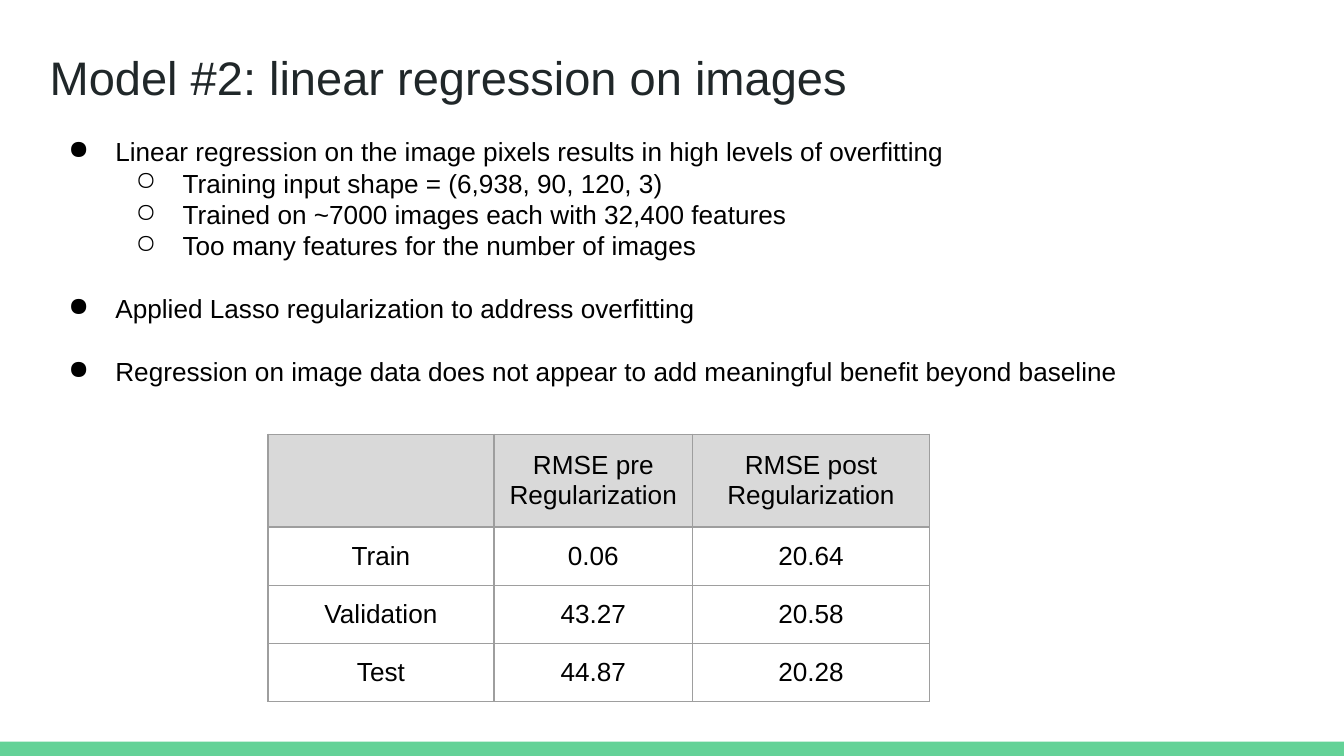
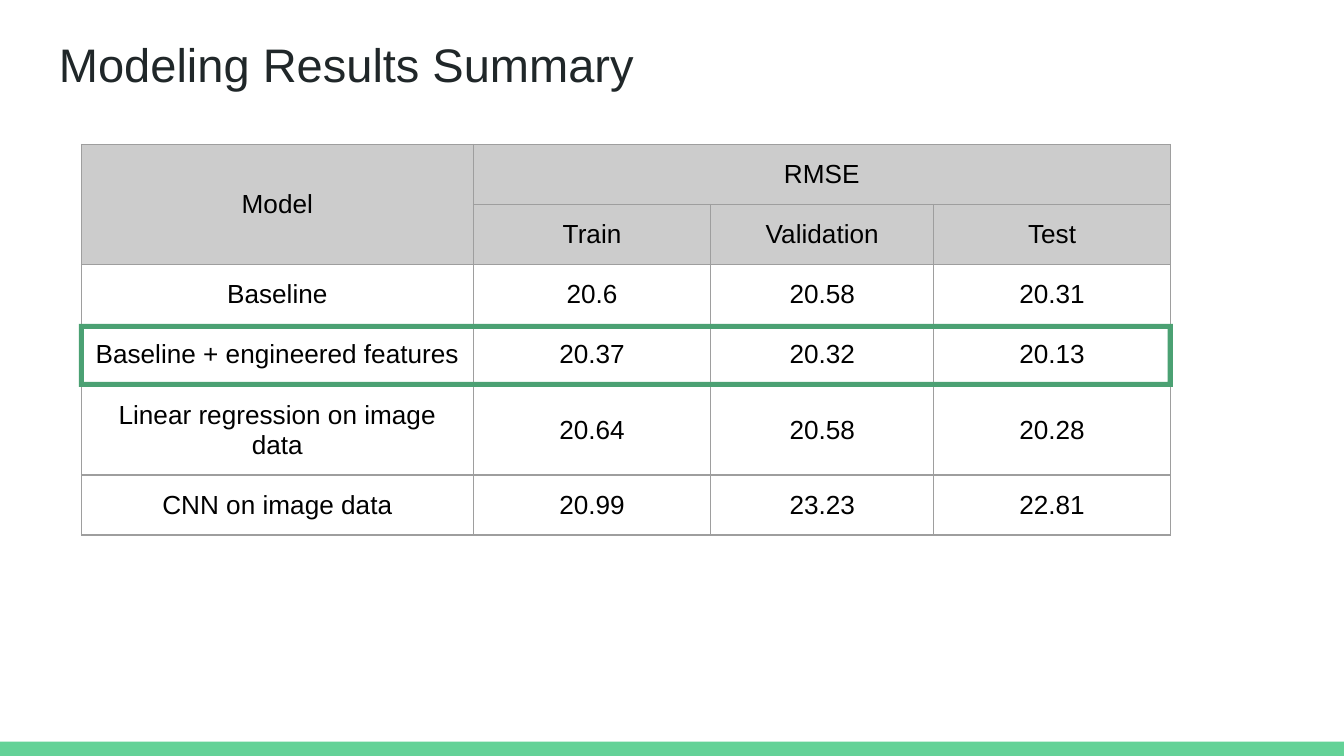
from dataclasses import dataclass

from lxml import etree
from pptx import Presentation
from pptx.dml.color import RGBColor
from pptx.enum.shapes import MSO_SHAPE
from pptx.enum.text import MSO_ANCHOR, PP_ALIGN
from pptx.oxml.ns import qn
from pptx.util import Pt

RECTANGLE = MSO_SHAPE.RECTANGLE
FRAME = MSO_SHAPE.FRAME
BOTTOM = MSO_ANCHOR.BOTTOM
TOP = MSO_ANCHOR.TOP
MIDDLE = MSO_ANCHOR.MIDDLE
CENTER = PP_ALIGN.CENTER


@dataclass(frozen=True)
class Theme:
    font: str = "Arial"
    title_color: str = "202729"
    text_color: str = "000000"
    band_color: str = "63D297"
    highlight_color: str = "4BA173"
    border_color: str = "9E9E9E"
    light_header: str = "D9D9D9"
    dark_header: str = "CCCCCC"
    title_size: float = 25.2
    body_size: float = 14
    line_pitch: float = 16.8
    border_width: float = 0.75
    inset: float = 7.2
    indent: float = 36
    hanging: float = 25.2


THEME = Theme()
PAGE_WIDTH, PAGE_HEIGHT = 720, 405
BAND_HEIGHT = 7.6
BULLETS = ("●", "○")

FINDINGS = [
    (0, "Linear regression on the image pixels results in high levels of overfitting", False),
    (1, "Training input shape = (6,938, 90, 120, 3)", False),
    (1, "Trained on ~7000 images each with 32,400 features", False),
    (1, "Too many features for the number of images", False),
    (0, "Applied Lasso regularization to address overfitting", True),
    (0, "Regression on image data does not appear to add meaningful benefit beyond baseline", True),
]

REGULARIZATION = [
    ["", "RMSE pre Regularization", "RMSE post Regularization"],
    ["Train", "0.06", "20.64"],
    ["Validation", "43.27", "20.58"],
    ["Test", "44.87", "20.28"],
]

SUMMARY = [
    ["Model", "RMSE", "", ""],
    ["", "Train", "Validation", "Test"],
    ["Baseline", "20.6", "20.58", "20.31"],
    ["Baseline + engineered features", "20.37", "20.32", "20.13"],
    ["Linear regression on image data", "20.64", "20.58", "20.28"],
    ["CNN on image data", "20.99", "23.23", "22.81"],
]


def style_font(font, size, color):
    font.name = THEME.font
    font.size = Pt(size)
    font.color.rgb = RGBColor.from_string(color)


def add_solid(page, kind, left, top, width, height, color):
    shape = page.shapes.add_shape(kind, Pt(left), Pt(top), Pt(width), Pt(height))
    shape.shadow.inherit = False
    shape.fill.solid()
    shape.fill.fore_color.rgb = RGBColor.from_string(color)
    shape.line.fill.background()
    return shape


def add_text_frame(page, left, top, width, height, anchor):
    box = page.shapes.add_textbox(Pt(left), Pt(top), Pt(width), Pt(height))
    frame = box.text_frame
    frame.word_wrap = True
    frame.vertical_anchor = anchor
    frame.margin_left = frame.margin_right = Pt(THEME.inset)
    frame.margin_top = frame.margin_bottom = Pt(THEME.inset)
    return frame


def add_page(deck, title, left, top):
    page = deck.slides.add_slide(deck.slide_layouts[6])
    add_solid(page, RECTANGLE, 0, PAGE_HEIGHT - BAND_HEIGHT, PAGE_WIDTH, BAND_HEIGHT,
              THEME.band_color)
    frame = add_text_frame(page, left, top, 671, 45.4, BOTTOM)
    frame.text = title
    style_font(frame.paragraphs[0].runs[0].font, THEME.title_size, THEME.title_color)
    return page


def set_bullet(para, level):
    para.level = level
    properties = para._p.get_or_add_pPr()
    properties.set("marL", str(Pt(THEME.indent * (level + 1))))
    properties.set("indent", str(-Pt(THEME.hanging)))
    color = etree.SubElement(properties, qn("a:buClr"))
    etree.SubElement(color, qn("a:srgbClr"), val=THEME.text_color)
    etree.SubElement(properties, qn("a:buChar"), char=BULLETS[level])


def add_bullets(page, left, top, width, height, items):
    frame = add_text_frame(page, left, top, width, height, TOP)
    for number, (level, text, gap_before) in enumerate(items):
        para = frame.add_paragraph() if number else frame.paragraphs[0]
        para.text = text
        set_bullet(para, level)
        para.line_spacing = Pt(THEME.line_pitch)
        if gap_before:
            para.space_before = Pt(THEME.line_pitch)
        style_font(para.runs[0].font, THEME.body_size, THEME.text_color)


def set_borders(cell):
    properties = cell._tc.get_or_add_tcPr()
    for side in ("lnL", "lnR", "lnT", "lnB"):
        line = etree.SubElement(properties, qn(f"a:{side}"), w=str(Pt(THEME.border_width)))
        fill = etree.SubElement(line, qn("a:solidFill"))
        etree.SubElement(fill, qn("a:srgbClr"), val=THEME.border_color)


def style_cell(cell, text, fill_color):
    set_borders(cell)
    if fill_color:
        cell.fill.solid()
        cell.fill.fore_color.rgb = RGBColor.from_string(fill_color)
    else:
        cell.fill.background()
    cell.margin_left = cell.margin_right = Pt(THEME.inset)
    cell.margin_top = cell.margin_bottom = Pt(THEME.inset)
    cell.vertical_anchor = MIDDLE
    if text:
        cell.text_frame.text = text
        para = cell.text_frame.paragraphs[0]
        para.alignment = CENTER
        style_font(para.runs[0].font, THEME.body_size, THEME.text_color)


def add_grid(page, left, top, widths, heights, rows, header_rows, header_color):
    holder = page.shapes.add_table(len(rows), len(widths), Pt(left), Pt(top),
                                   Pt(sum(widths)), Pt(sum(heights)))
    table = holder.table
    table.first_row = table.horz_banding = False
    for column, width in zip(table.columns, widths):
        column.width = Pt(width)
    for row, height in zip(table.rows, heights):
        row.height = Pt(height)
    for row_number, texts in enumerate(rows):
        fill_color = header_color if row_number < header_rows else None
        for column_number, text in enumerate(texts):
            style_cell(table.cell(row_number, column_number), text, fill_color)
    return table


def build_regression_page(deck):
    page = add_page(deck, "Model #2: linear regression on images", 19.5, 18)
    add_bullets(page, 18.7, 65.5, 641.5, 167, FINDINGS)
    add_grid(page, 143.6, 232.6, [121, 106.6, 126.7], [49.7] + [31.2] * 3,
             REGULARIZATION, 1, THEME.light_header)


def build_summary_page(deck):
    page = add_page(deck, "Modeling Results Summary", 24.5, 10.8)
    table = add_grid(page, 43.6, 77.4, [210, 127.2, 119.5, 126.7],
                     [32.1, 32.1, 32.1, 32.8, 44.2, 32.1],
                     SUMMARY, 2, THEME.dark_header)
    table.cell(0, 0).merge(table.cell(1, 0))
    table.cell(0, 1).merge(table.cell(0, 3))
    highlight = add_solid(page, FRAME, 42.3, 173.5, 586, 33.8, THEME.highlight_color)
    highlight.adjustments[0] = 0.08


def main():
    deck = Presentation()
    deck.slide_width = Pt(PAGE_WIDTH)
    deck.slide_height = Pt(PAGE_HEIGHT)
    build_regression_page(deck)
    build_summary_page(deck)
    deck.save("out.pptx")


if __name__ == "__main__":
    main()
